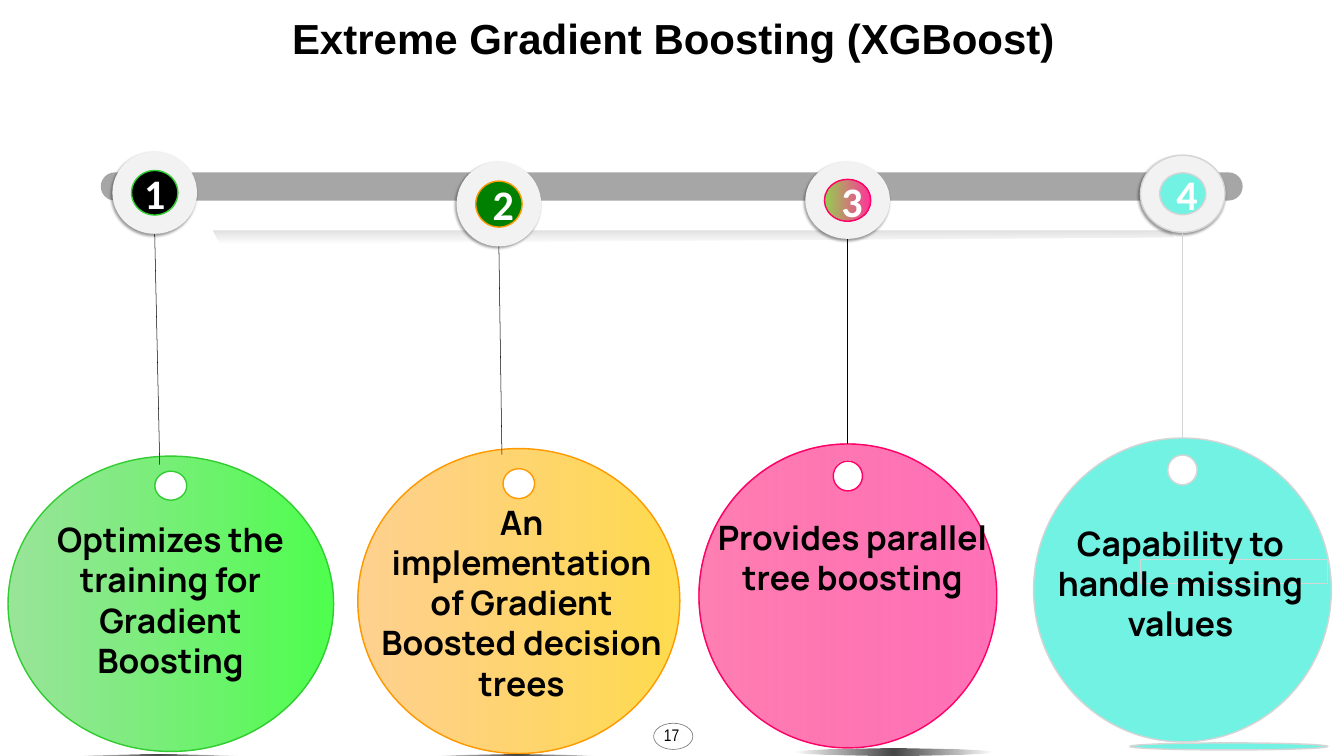
from lxml.etree import SubElement
from pptx import Presentation
from pptx.dml.color import RGBColor as RGB
from pptx.enum.shapes import MSO_CONNECTOR as LINK, MSO_SHAPE as SHAPE
from pptx.enum.text import MSO_ANCHOR as ANCHOR, PP_ALIGN as ALIGN
from pptx.oxml import parse_xml
from pptx.oxml.ns import nsdecls, qn
from pptx.util import Pt

PX = 9144  # 100 px to the inch
WIDE, HIGH = 2667, 1500

BLACK = RGB(0, 0, 0)
WHITE = RGB(255, 255, 255)
PALE = RGB(0xF2, 0xF2, 0xF2)
GREY = RGB(0xA6, 0xA6, 0xA6)
MID = RGB(0x80, 0x80, 0x80)
SILVER = RGB(0xD5, 0xD5, 0xD5)
GREEN = RGB(0x33, 0xCC, 0x33)
LIME = RGB(0, 255, 0)
DARK = RGB(0, 0x80, 0)
ORANGE = RGB(0xFF, 0x99, 0)
AMBER = RGB(0xFF, 0xA5, 0x1F)
GOLD = RGB(0xFF, 0xCC, 0)
ROSE = RGB(0xFF, 0, 0x66)
PINK = RGB(0xFF, 0x33, 0x99)
LEAF = RGB(0x92, 0xD0, 0x50)
AQUA = RGB(0x72, 0xF2, 0xE3)

# A gradient is a list of (colour, opacity in percent).
FADE = [(BLACK, 74), (BLACK, 0)]
TITLE = "Extreme Gradient Boosting (XGBoost)"
PAGE = "17"

# knob: centre x, top, height; disc: box; gap: disc top to hole top;
# end: foot of the stem; base: left, top, height; box: place of the words
TAGS = [
    dict(num="1", text="Optimizes the training for Gradient Boosting",
         knob=(307, 301, 163), disc=(16, 905, 646, 586), gap=30,
         end=(317, 922), base=(118, 1497, 15), box=(63, 1025, 551, 415),
         fill=[(GREEN, 50), (LIME, 70)], core=BLACK, edge=GREEN, pad=10),
    dict(num="2",
         text="An implementation of Gradient Boosted decision trees",
         knob=(990, 321, 168), disc=(710, 890, 639, 605), gap=40,
         end=(996, 902), base=(829, 1497, 16), box=(743, 990, 584, 414),
         fill=[(AMBER, 50), (GOLD, 70)], core=DARK, edge=ORANGE, pad=20),
    dict(num="3", text="Provides parallel tree boosting",
         knob=(1682, 321, 153), disc=(1387, 881, 591, 603), gap=34,
         end=(1682, 881), base=(1577, 1486, 14), box=(1412, 1020, 559, 252),
         fill=[(ROSE, 50), (PINK, 70)], core=[(LEAF, 100), (PINK, 100)],
         edge=ROSE, pad=20),
    dict(num="4", text="Capability to handle missing values",
         knob=(2347, 308, 153), disc=(2051, 869, 591, 603), gap=34,
         end=(2347, 869), base=(2242, 1474, 14), box=(2063, 1032, 559, 252),
         fill=AQUA, core=AQUA, edge=SILVER, pad=20, stem=SILVER,
         foot=AQUA, strip=(2262, 1110, 372, 47)),
]


def emu(*nums):
    return [round(n * PX) for n in nums]


def blend(shape, stops, way):
    """Fill with a gradient; way is an angle in degrees or 'circle'."""
    shape.fill.background()
    marks = "".join(
        f'<a:gs pos="{pos}"><a:srgbClr val="{hue}">'
        f'<a:alpha val="{part * 1000}"/></a:srgbClr></a:gs>'
        for pos, (hue, part) in zip((0, 100000), stops))
    if way == "circle":
        kind = ('<a:path path="circle"><a:fillToRect l="50000" t="50000" '
                'r="50000" b="50000"/></a:path>')
    else:
        kind = f'<a:lin ang="{way * 60000}" scaled="0"/>'
    none = shape.element.spPr.find(qn("a:noFill"))
    none.getparent().replace(none, parse_xml(
        f'<a:gradFill {nsdecls("a")} rotWithShape="1">'
        f'<a:gsLst>{marks}</a:gsLst>{kind}</a:gradFill>'))


def paint(shape, fill=None, edge=None, width=2, way=0):
    shape.shadow.inherit = False
    if fill is None:
        shape.fill.background()
    elif isinstance(fill, list):
        blend(shape, fill, way)
    else:
        shape.fill.solid()
        shape.fill.fore_color.rgb = fill
    if edge is None:
        shape.line.fill.background()
    else:
        shape.line.color.rgb = edge
        shape.line.width = Pt(width)
    return shape


def put(shapes, kind, box, *look, **more):
    return paint(shapes.add_shape(kind, *emu(*box)), *look, **more)


def trace(shapes, pts):
    first, *rest = [emu(*pt) for pt in pts]
    pen = shapes.build_freeform(*first)
    pen.add_line_segments(rest, close=True)
    return pen.convert_to_shape()


def loop(trail, mid, top, wide, high, turn):
    """Add an ellipse of four curves; turn is 1 for clockwise, else -1."""
    bend = 0.5523
    unit = [(0, -1), (bend, -1), (1, -bend), (1, 0), (1, bend), (bend, 1),
            (0, 1), (-bend, 1), (-1, bend), (-1, 0), (-1, -bend),
            (-bend, -1), (0, -1)]
    pts = [emu(mid + turn * x * wide / 2, top + (1 + y) * high / 2)
           for x, y in unit]
    steps = [("a:moveTo", pts[:1])]
    steps += [("a:cubicBezTo", pts[i:i + 3]) for i in (1, 4, 7, 10)]
    for name, spots in steps + [("a:close", [])]:
        step = SubElement(trail, qn(name))
        for x, y in spots:
            SubElement(step, qn("a:pt"), x=str(x), y=str(y))


def punch(shapes, box, gap):
    """Draw a disc with a round hole, gap below its top."""
    left, top, wide, high = box
    right, foot = left + wide, top + high
    disc = trace(shapes, [(left, top), (right, top), (right, foot),
                          (left, foot)])
    trail = next(disc.element.iter(qn("a:path")))
    for step in list(trail):
        trail.remove(step)
    loop(trail, wide / 2, gap, wide * 0.098, high * 0.098, -1)
    loop(trail, wide / 2, 0, wide, high, 1)
    return disc


def write(frame, text, name, size, color, bold=True):
    para = frame.paragraphs[0]
    para.text = text
    para.alignment = ALIGN.CENTER
    font = para.font
    font.name, font.size, font.bold = name, Pt(size), bold
    font.color.rgb = color


def label(shapes, box, *style, wrap=True):
    frame = shapes.add_textbox(*emu(*box)).text_frame
    frame.word_wrap = wrap
    write(frame, *style)
    return frame


def cast(shape):
    """Add a soft shadow to the lower left."""
    shade = SubElement(shape.element.spPr.find(qn("a:effectLst")),
                       qn("a:outerShdw"), blurRad=str(Pt(4)),
                       dist=str(Pt(3)), dir=str(135 * 60000),
                       algn="tr", rotWithShape="0")
    hue = SubElement(shade, qn("a:srgbClr"), val=str(BLACK))
    SubElement(hue, qn("a:alpha"), val="40000")


def hang(shapes, tag):
    """Draw one tag: disc, knob, number, stem, base and words."""
    group = shapes.add_group_shape().shapes
    edge = tag["edge"]
    rim = edge if "foot" in tag else None
    paint(punch(group, tag["disc"], tag["gap"]), tag["fill"], edge)

    mid, top, high = tag["knob"]
    cast(put(group, SHAPE.OVAL, (mid - 84, top, 168, high), PALE, rim))
    tall = high * 0.543
    core = put(group, SHAPE.OVAL,
               (mid - 46, top + (high - tall) / 2, 92, tall),
               tag["core"], edge)
    frame = core.text_frame
    frame.vertical_anchor = ANCHOR.MIDDLE
    pad = tag["pad"]
    frame.margin_left = frame.margin_right = pad * PX
    frame.margin_top = frame.margin_bottom = pad * PX // 2
    write(frame, tag["num"], "Calibri", 60, WHITE)

    stem = group.add_connector(LINK.STRAIGHT,
                               *emu(mid, top + high, *tag["end"]))
    stem.line.color.rgb = tag.get("stem", BLACK)
    stem.line.width = Pt(0.75)
    SubElement(stem.element.spPr, qn("a:effectLst"))

    left, top, high = tag["base"]
    put(group, SHAPE.OVAL, (left, top, 393, high),
        tag.get("foot", FADE), rim, way="circle")
    if "strip" in tag:
        put(group, SHAPE.RECTANGLE, tag["strip"], AQUA, edge, 0.75)
    label(shapes, tag["box"], tag["text"], "Manrope", 48, BLACK)


def main():
    deck = Presentation()
    deck.slide_width, deck.slide_height = emu(WIDE, HIGH)
    shapes = deck.slides.add_slide(deck.slide_layouts[6]).shapes

    glow = [(437, 483), (353, 321), (2271, 352), (2328, 470)]
    paint(trace(shapes, glow), FADE, way=90)
    for box, hue in [((71, 290, 2553, 167), WHITE),
                     ((200, 342, 2266, 56), GREY)]:
        bar = put(shapes, SHAPE.ROUNDED_RECTANGLE, box, hue)
        bar.adjustments[0] = 0.5

    for tag in TAGS:
        hang(shapes, tag)

    label(shapes, (560, 20, 1553, 111), TITLE, "Arial", 60, BLACK)
    frame = label(shapes, (1310, 1431, 45, 52), PAGE, "Arial Narrow", 24,
                  BLACK, False, wrap=False)
    frame.margin_left = frame.margin_right = 6 * PX
    frame.margin_top = frame.margin_bottom = 6 * PX
    put(shapes, SHAPE.OVAL, (1297, 1435, 78, 52), None, MID, 1)
    deck.save("out.pptx")


if __name__ == "__main__":
    main()
